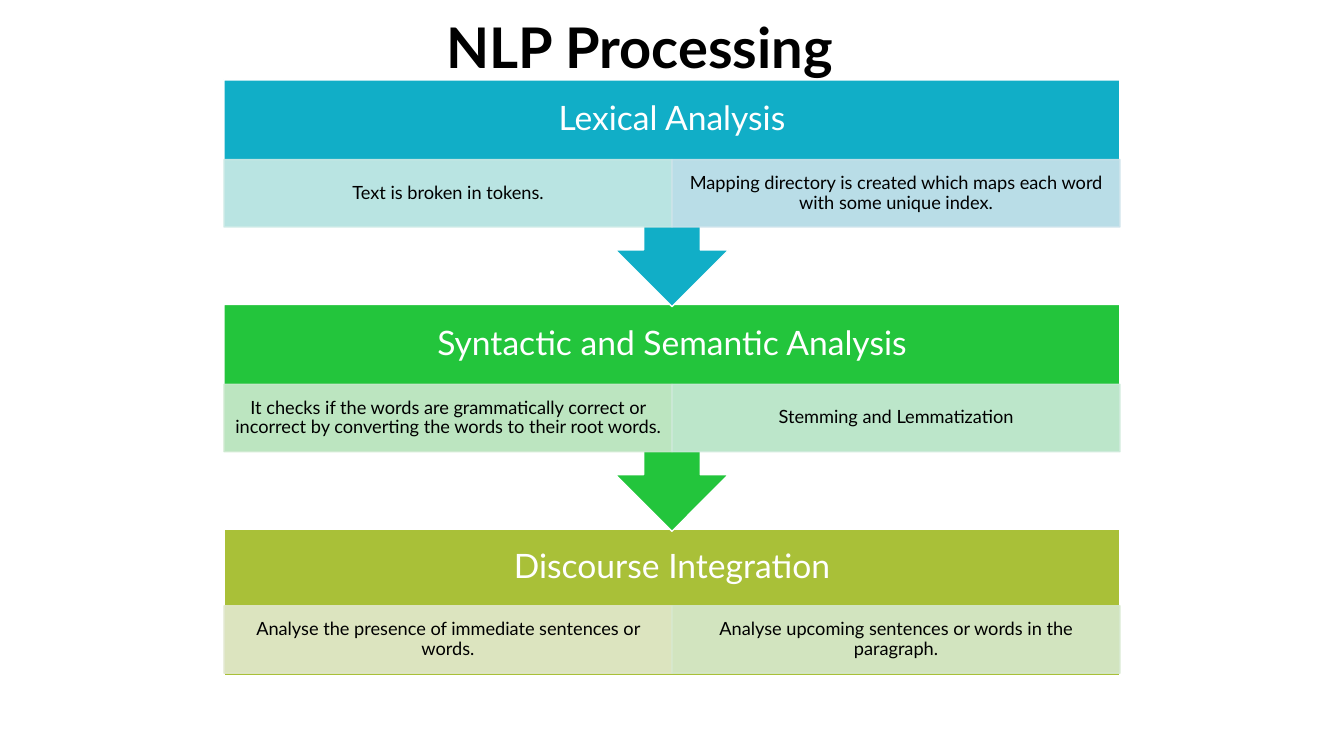
"""Build the NLP Processing slide: three stages joined by callout arrows."""
from lxml.etree import SubElement
from pptx import Presentation
from pptx.dml.color import RGBColor
from pptx.enum.shapes import MSO_SHAPE
from pptx.enum.text import MSO_ANCHOR, PP_ALIGN
from pptx.oxml.ns import qn
from pptx.util import Pt

COLORS = {
    "white": "FFFFFF", "black": "000000",
    "lexical": "11AEC7", "lexical left": "CCEAE6", "lexical right": "CCE3EB",
    "syntactic": "23C53C", "syntactic left": "CDE9CF", "syntactic right": "CDEADA",
    "discourse": "A9C038", "discourse left": "E2E8CE", "discourse right": "D7E9CE",
}
LEFT, WIDTH = 160, 640
FIRST_TOP, PITCH = 57, 160.5
BODY_HEIGHT, CALLOUT_HEIGHT, DETAIL_HEIGHT = 105, 162, 48.2

STAGES = [
    ("lexical", "Lexical Analysis", 57, "Text is broken in tokens.",
     "Mapping directory is created which maps each word with some unique index."),
    ("syntactic", "Syntactic and Semantic Analysis", 57,
     "It checks if the words are grammatically correct or incorrect by converting the words to their root words.",
     "Stemming and Lemmatization"),
    ("discourse", "Discourse Integration", 54.7,
     "Analyse the presence of immediate sentences or words.",
     "Analyse upcoming sentences or words in the paragraph."),
]


def write_text(shape, text, size, color, insets, bold=False):
    """Centre one styled paragraph in a shape, with insets left, top, right, bottom."""
    frame = shape.text_frame
    frame.text = text
    frame.word_wrap = True
    frame.vertical_anchor = MSO_ANCHOR.MIDDLE
    frame.margin_left, frame.margin_top, frame.margin_right, frame.margin_bottom = map(Pt, insets)
    paragraph = frame.paragraphs[0]
    paragraph.alignment = PP_ALIGN.CENTER
    paragraph.line_spacing = 0.9
    font = paragraph.runs[0].font
    font.name, font.size, font.bold = "Lato", Pt(size), bold
    font.color.rgb = RGBColor.from_string(COLORS[color])


def add_block(kind, left, top, width, height, fill, line, opacity=100):
    """Add a filled and outlined shape with the given opacity in percent."""
    shape = slide.shapes.add_shape(kind, Pt(left), Pt(top), Pt(width), Pt(height))
    shape.shadow.inherit = False
    shape.fill.solid()
    shape.fill.fore_color.rgb = RGBColor.from_string(COLORS[fill])
    shape.line.color.rgb = RGBColor.from_string(COLORS[line])
    shape.line.width = Pt(1)
    if opacity < 100:
        for color in shape.element.spPr.iter(qn("a:srgbClr")):
            SubElement(color, qn("a:alpha"), val=str(opacity * 1000))
    return shape


presentation = Presentation()
presentation.slide_width, presentation.slide_height = Pt(960), Pt(540)
slide = presentation.slides.add_slide(presentation.slide_layouts[6])

title = slide.shapes.add_textbox(Pt(277), Pt(5), Pt(360), Pt(55.5))
write_text(title, "NLP Processing", 40, "black", (7.2, 3.6, 7.2, 3.6), bold=True)
title.text_frame.paragraphs[0].line_spacing = 1.0

for index, (name, heading, heading_height, *details) in reversed(list(enumerate(STAGES))):
    top = FIRST_TOP + index * PITCH
    is_last = index == len(STAGES) - 1
    kind = MSO_SHAPE.RECTANGLE if is_last else MSO_SHAPE.DOWN_ARROW_CALLOUT
    height = BODY_HEIGHT if is_last else CALLOUT_HEIGHT
    stage = add_block(kind, LEFT, top, WIDTH, height, name, "white")
    write_text(stage, heading, 24, "white", (13.7, 0, 13.7, BODY_HEIGHT - heading_height))
    for column, (side, detail) in enumerate(zip(("left", "right"), details)):
        color = f"{name} {side}"
        box = add_block(MSO_SHAPE.RECTANGLE, LEFT + column * WIDTH / 2, top + heading_height,
                        WIDTH / 2, DETAIL_HEIGHT, color, color, opacity=90)
        write_text(box, detail, 13, "black", (7.2, 1.4, 7.2, 1.4))

presentation.save("out.pptx")
